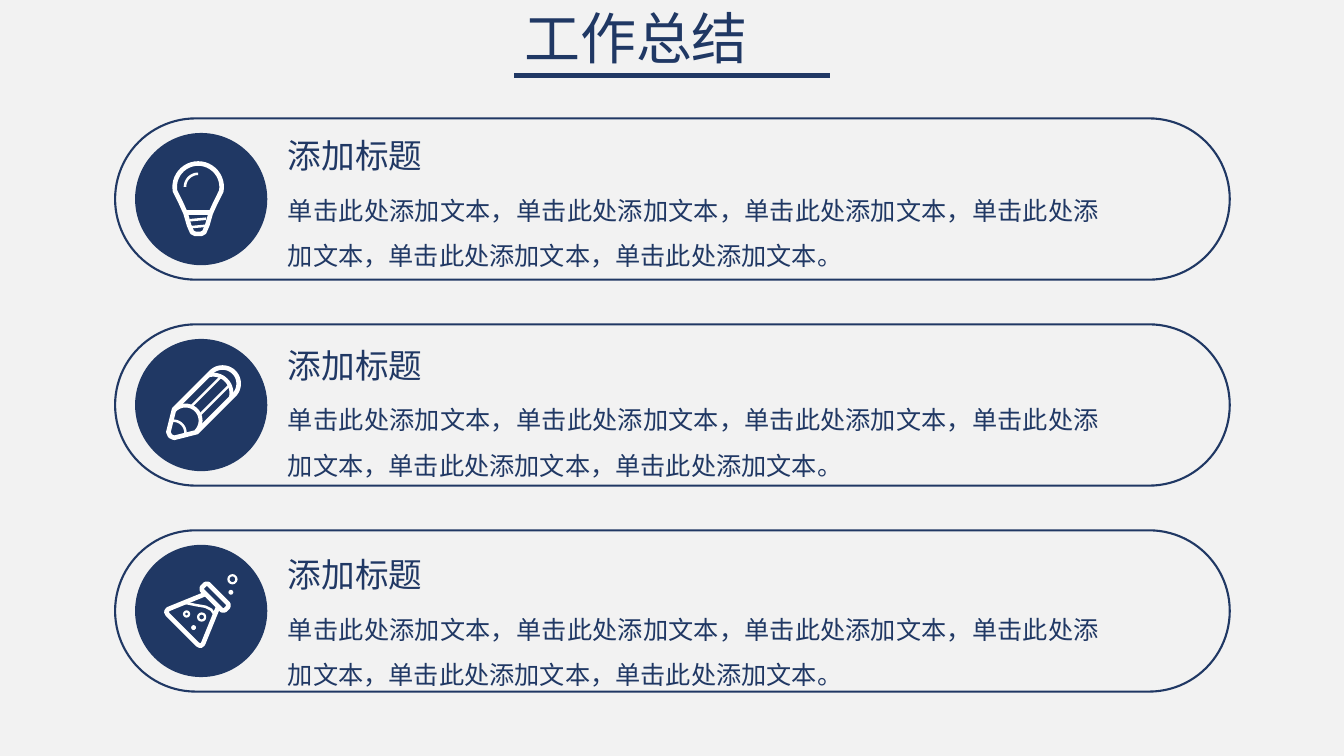
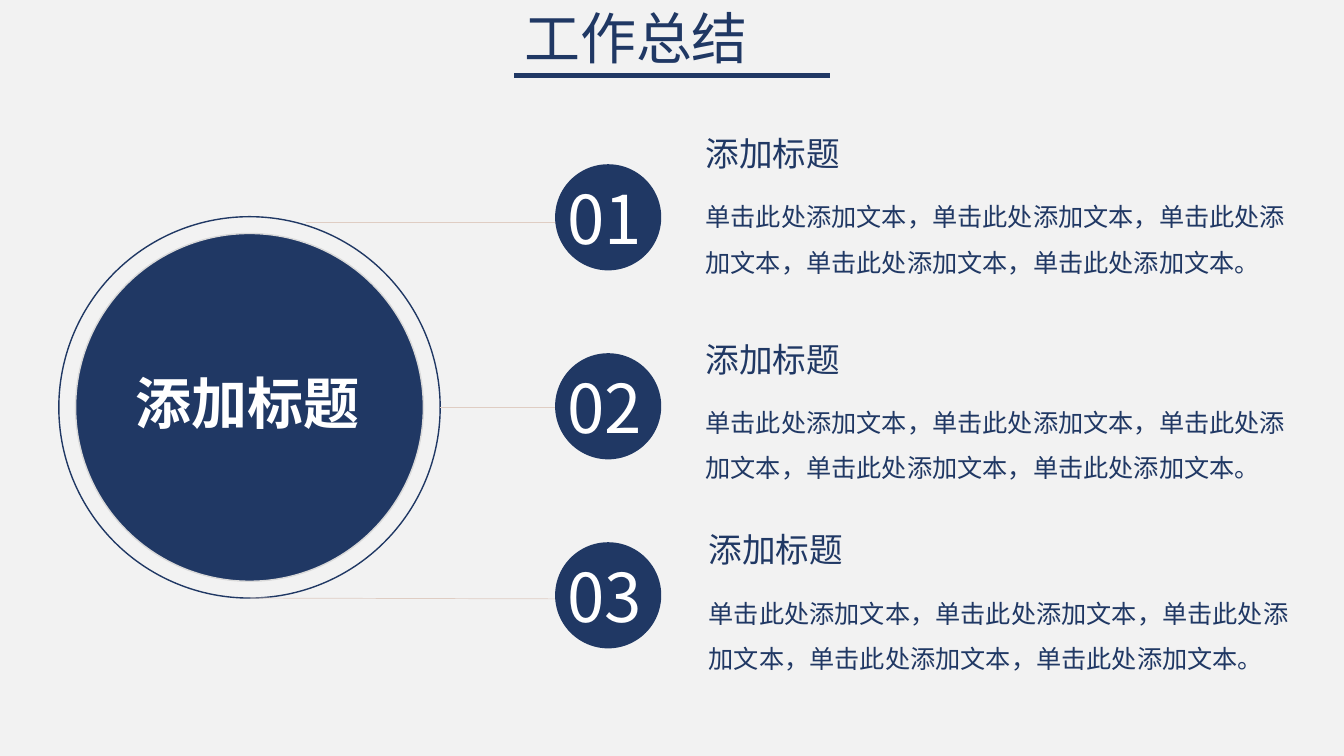
from math import cos, sin, radians, sqrt

from lxml.etree import SubElement
from pptx import Presentation
from pptx.dml.color import RGBColor
from pptx.enum.shapes import MSO_CONNECTOR as Conn, MSO_SHAPE as Kind
from pptx.enum.text import MSO_ANCHOR as Anchor, MSO_AUTO_SIZE as Auto, PP_ALIGN as Align
from pptx.oxml.ns import qn
from pptx.util import Emu, Inches, Pt

NAVY, WHITE, PAPER = "203864", "FFFFFF", "F2F2F2"
RIM, THREAD = "D9D9D9", "DFCDC3"
FONT = "Noto Sans CJK SC"
CELL = Inches(13.333) / 160  # the slide is a grid of 160 columns by 90 rows
DOT = 0.12                   # icon unit, in cells
HEAD = "添加标题"
WORDS = "单击此处添加文本"


def grid(*cells):
    return [Emu(round(c * CELL)) for c in cells]


def tint(code):
    return RGBColor.from_string(code)


def body(count):
    return "，".join([WORDS] * count) + "。"


def paint(shape, fill=None, line=None, width=1):
    shape.shadow.inherit = False
    if fill:
        shape.fill.solid()
        shape.fill.fore_color.rgb = tint(fill)
    else:
        shape.fill.background()
    if line:
        shape.line.color.rgb = tint(line)
        shape.line.width = Pt(width)
    else:
        shape.line.fill.background()
    return shape


def write(frame, text, size, color=NAVY, bold=False, align=Align.LEFT, space=1.0):
    para = frame.paragraphs[0]
    para.alignment = align
    para.line_spacing = space
    para.space_before = Pt(0)
    run = para.add_run()
    run.text = text
    font = run.font
    font.name, font.size, font.bold = FONT, Pt(size), bold
    font.color.rgb = tint(color)
    SubElement(font._element, qn("a:ea")).set("typeface", FONT)


def note(slide, x, y, w, h, text, size, **style):
    frame = slide.shapes.add_textbox(*grid(x, y, w, h)).text_frame
    frame.word_wrap = True
    write(frame, text, size, **style)


def disc(shapes, x, y, r, **look):
    """Circle given by its centre and radius."""
    return paint(shapes.add_shape(Kind.OVAL, *grid(x - r, y - r, 2 * r, 2 * r)), **look)


def label(shape, text, size, right, bottom, bold=False):
    """White text in the middle of a circle, nudged by its margins."""
    frame = shape.text_frame
    frame.word_wrap = False
    frame.vertical_anchor = Anchor.MIDDLE
    frame.margin_left = frame.margin_top = 0
    frame.margin_right, frame.margin_bottom = grid(right, bottom)
    write(frame, text, size, color=WHITE, bold=bold, align=Align.CENTER)


def rule(slide, ends, color, width):
    line = slide.shapes.add_connector(Conn.STRAIGHT, *grid(*ends))
    line.line.color.rgb = tint(color)
    line.line.width = Pt(width)
    SubElement(line._element.spPr, qn("a:effectLst"))


def start(deck):
    """New slide with the shared title and its underline."""
    slide = deck.slides.add_slide(deck.slide_layouts[5])
    title = slide.shapes.title
    title.left, title.top, title.width, title.height = grid(61.2, 0.84, 37.5, 8.2)
    frame = title.text_frame
    frame.auto_size = Auto.NONE
    frame.vertical_anchor = Anchor.MIDDLE
    write(frame, "工作总结", 40, align=Align.JUSTIFY, space=0.9)
    rule(slide, (61.2, 9, 98.8, 9), NAVY, 3)
    return slide


# Icons are drawn in icon units around the centre of their badge.

def arc(x, y, r, first, last, steps=24):
    turns = [radians(first + (last - first) * i / steps) for i in range(steps + 1)]
    return [(x + r * cos(t), y + r * sin(t)) for t in turns]


def tilt(points):
    """Turn the horizontal axis so that it points up and right."""
    return [((u + v) / sqrt(2), (v - u) / sqrt(2)) for u, v in points]


def trace(shapes, mid, points, width=3.3, close=False):
    spots = [grid(mid[0] + x * DOT, mid[1] + y * DOT) for x, y in points]
    pen = shapes.build_freeform(*spots[0], scale=1.0)
    pen.add_line_segments(spots[1:], close=close)
    paint(pen.convert_to_shape(), line=WHITE, width=width)


def bulb(shapes, mid):
    side = [(17, 4), (12.5, 14), (9, 26), (6, 33), (3, 34.5)]
    glass = arc(0, -12, 23.3, 170, 370) + side + [(-x, y) for x, y in side[::-1]]
    mid = (mid[0] - 3 * DOT, mid[1])
    trace(shapes, mid, glass, close=True)
    trace(shapes, mid, [(-12, 13.5), (12, 13.5)])
    for y in (21, 28):
        trace(shapes, mid, [(-8, y), (8, y - 1.5)], 1.8)
    trace(shapes, mid, arc(0, -12, 13, 180, 270), 1.8)


def pencil(shapes, mid):
    shell = arc(30, 0, 16, -90, 90) + [(-22, 16), (-42, 4), (-43.5, 0), (-42, -4), (-22, -16)]
    trace(shapes, mid, tilt(shell), close=True)
    trace(shapes, mid, tilt(arc(-22, 0, 15, -90, 90)), 2.8)
    trace(shapes, mid, tilt(arc(17, 0, 18, -60, 60)), 2.8)
    trace(shapes, mid, tilt(arc(-39, 0, 12, -50, 50)), 1.8)
    for v in (-6, 6):
        trace(shapes, mid, tilt([(-8, v), (33, v)]), 1.8)


def flask(shapes, mid):
    half = [(15, 9), (10, 11), (-22, 24.5), (-25, 24), (-26, 21)]
    glass = half + [(u, -v) for u, v in half[::-1]]
    lip = [(15, -14), (17, -16), (22, -16), (24, -14)]
    lip += [(u, -v) for u, v in lip[::-1]]
    trace(shapes, mid, tilt(glass))
    trace(shapes, mid, tilt(lip), close=True)
    trace(shapes, mid, tilt([(-5.5, -17), (0, -8.5), (6, 0), (8, 6), (7, 12.5)]), 1.8)
    for x, y, r in ((0.5, 6, 4.5), (31, -31.5, 5), (-14.5, 3, 3.5)):
        disc(shapes, mid[0] + x * DOT, mid[1] + y * DOT, (r - 1) * DOT, line=WHITE, width=1.6)
    for x, y in ((-7.5, 16.5), (29.5, -18.5)):
        disc(shapes, mid[0] + x * DOT, mid[1] + y * DOT, 2.4 * DOT, fill=WHITE)


def pills(deck):
    slide = start(deck)
    for i, icon in enumerate((bulb, pencil, flask)):
        mid = (23.95, 23.7 + 24.52 * i)
        disc(slide.shapes, *mid, 7.87, fill=NAVY)
        pill = slide.shapes.add_shape(
            Kind.ROUNDED_RECTANGLE, *grid(13.7, mid[1] - 9.6, 132.7, 19.2))
        pill.adjustments[0] = 0.5
        paint(pill, line=NAVY, width=1.5)
        icon(slide.shapes.add_group_shape().shapes, mid)
        top = 15.5 + 24.95 * i
        note(slide, 33.1, top, 35.2, 6, HEAD, 24)
        note(slide, 33.1, top + 5.35, 99, 11.5, body(6), 18, align=Align.JUSTIFY, space=1.5)


def hub(deck):
    slide = start(deck)
    mid = (29.7, 48.5)
    core = disc(slide.shapes, *mid, 20.7, fill=NAVY, line=RIM)
    label(core, HEAD, 40, 0.5, 1.2, bold=True)
    disc(slide.shapes, *mid, 22.7, line=NAVY)
    for ends in ((36.4, 26.5, 66.2, 26.5), (52.4, 48.5, 66.6, 48.5), (29.8, 71.2, 66.5, 71.3)):
        rule(slide, ends, THREAD, 0.5)
    for i, (x, y) in enumerate(((82.8, 15.2), (82.8, 39.7), (83.2, 62.4))):
        spot = disc(slide.shapes, 72.4, 25.87 + 22.5 * i, 6.32, fill=NAVY)
        label(spot, f"{i + 1:02}", 48, 0.9, 0)
        note(slide, x, y, 35.4, 6, HEAD, 24)
        note(slide, x, y + 6.4, 73.4, 11.5, body(5), 18, space=1.5)


def main():
    deck = Presentation()
    deck.slide_width, deck.slide_height = grid(160, 90)
    back = deck.slide_master.background.fill
    back.solid()
    back.fore_color.rgb = tint(PAPER)
    pills(deck)
    hub(deck)
    deck.save("out.pptx")


if __name__ == "__main__":
    main()
